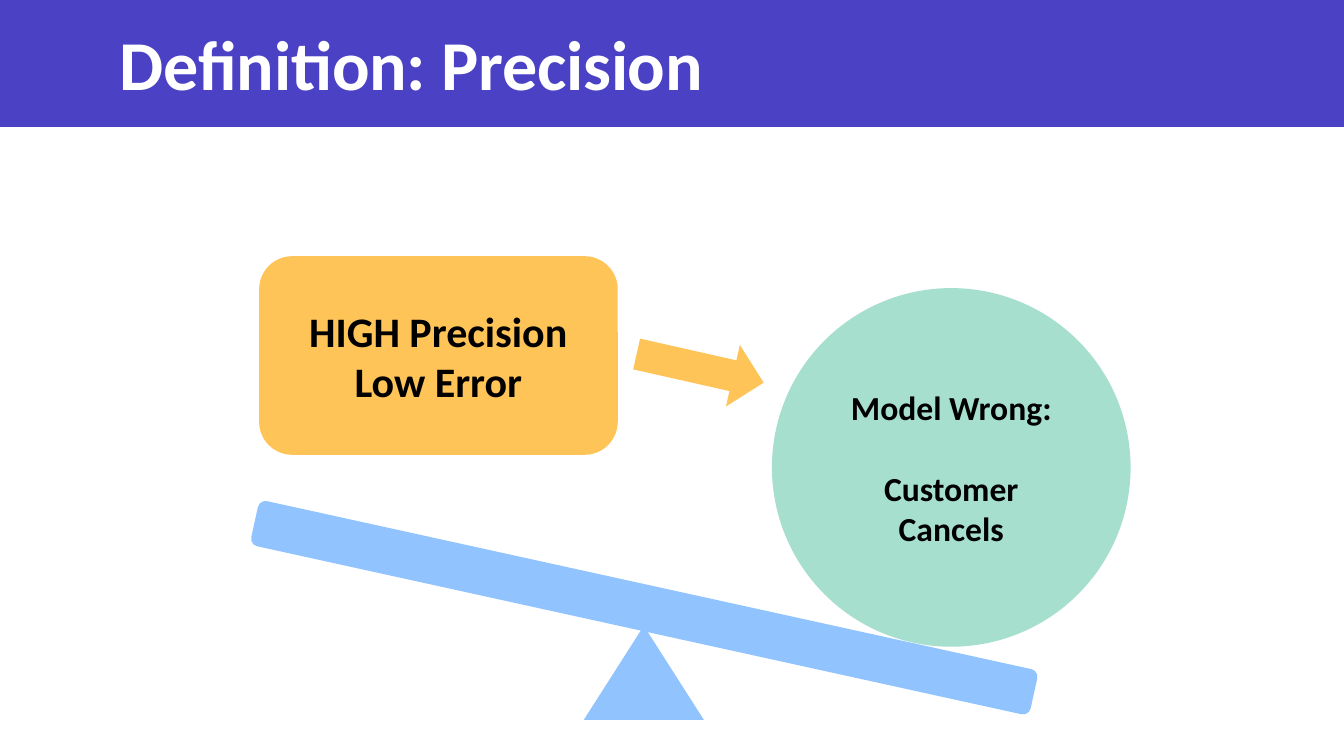
from dataclasses import dataclass

from pptx import Presentation
from pptx.dml.color import RGBColor
from pptx.enum.shapes import MSO_SHAPE
from pptx.enum.text import MSO_ANCHOR, PP_ALIGN
from pptx.util import Inches, Pt

RECT = MSO_SHAPE.RECTANGLE
ROUND = MSO_SHAPE.FLOWCHART_ALTERNATE_PROCESS
WEDGE = MSO_SHAPE.ISOSCELES_TRIANGLE
BALL = MSO_SHAPE.OVAL
ARROW = MSO_SHAPE.RIGHT_ARROW
MIDDLE = MSO_ANCHOR.MIDDLE
LEFT, CENTER = PP_ALIGN.LEFT, PP_ALIGN.CENTER

WIDE, HIGH = Inches(13.33), Inches(7.5)
COLS, ROWS = 160, 90


@dataclass(frozen=True)
class Theme:
    font: str = "Calibri"
    band: str = "4A41C5"
    blue: str = "91C4FF"
    green: str = "A6DFCE"
    gold: str = "FFC457"
    white: str = "FFFFFF"
    black: str = "000000"
    head: int = 50
    large: int = 30
    small: int = 24


class Board:
    """Draws styled parts on one slide, placed by grid columns and rows."""

    def __init__(self, slide, theme):
        self.slide, self.theme = slide, theme

    def place(self, col, row, cols, rows):
        return (int(col * WIDE / COLS), int(row * HIGH / ROWS),
                int(cols * WIDE / COLS), int(rows * HIGH / ROWS))

    def shape(self, kind, cell, fill, turn=0):
        part = self.slide.shapes.add_shape(kind, *self.place(*cell))
        part.shadow.inherit = False
        part.fill.solid()
        part.fill.fore_color.rgb = RGBColor.from_string(fill)
        part.line.fill.background()
        part.rotation = turn
        return part

    def label(self, part, lines, size, color, align=CENTER, gap=0):
        frame = part.text_frame
        frame.word_wrap, frame.vertical_anchor = True, MIDDLE
        form = {"name": self.theme.font, "size": Pt(size), "bold": True}
        for num, line in enumerate(lines):
            para = frame.add_paragraph() if num else frame.paragraphs[0]
            para.alignment = align
            para.space_before = Pt(gap if num else 0)
            run = para.add_run()
            run.text = line
            for key, val in form.items():
                setattr(run.font, key, val)
            run.font.color.rgb = RGBColor.from_string(color)

    def title(self, text, cell):
        box = self.slide.shapes.add_textbox(*self.place(*cell))
        self.label(box, [text], self.theme.head, self.theme.white, LEFT)
        run = box.text_frame.paragraphs[0].runs[0]
        run._r.get_or_add_rPr().set("spc", "-20")


def main():
    deck = Presentation()
    deck.slide_width, deck.slide_height = WIDE, HIGH
    look = Theme()
    board = Board(deck.slides.add_slide(deck.slide_layouts[6]), look)

    # Title band
    board.shape(RECT, (0, 0, COLS, 15.12), look.band)
    board.title("Definition: Precision", (13.08, 2.52, 131.52, 9.96))

    # Seesaw
    board.shape(WEDGE, (69.5, 74.5, 14.3, 11.2), look.blue)
    board.shape(ROUND, (29.2, 69.6, 95, 5.5), look.blue, 12.4)

    # Weight on the low end
    ball = board.shape(BALL, (91.9, 34.3, 42.7, 42.7), look.green)
    board.label(ball, ["Model Wrong:", "Customer Cancels"],
                look.small, look.black, gap=29)

    # Outcome and its arrow
    board.shape(ARROW, (75.6, 40.1, 15.5, 7.5), look.gold, 12.7)
    card = board.shape(ROUND, (30.85, 30.5, 42.7, 23.65), look.gold)
    board.label(card, ["HIGH Precision", "Low Error"],
                look.large, look.black)

    deck.save("out.pptx")


if __name__ == "__main__":
    main()
